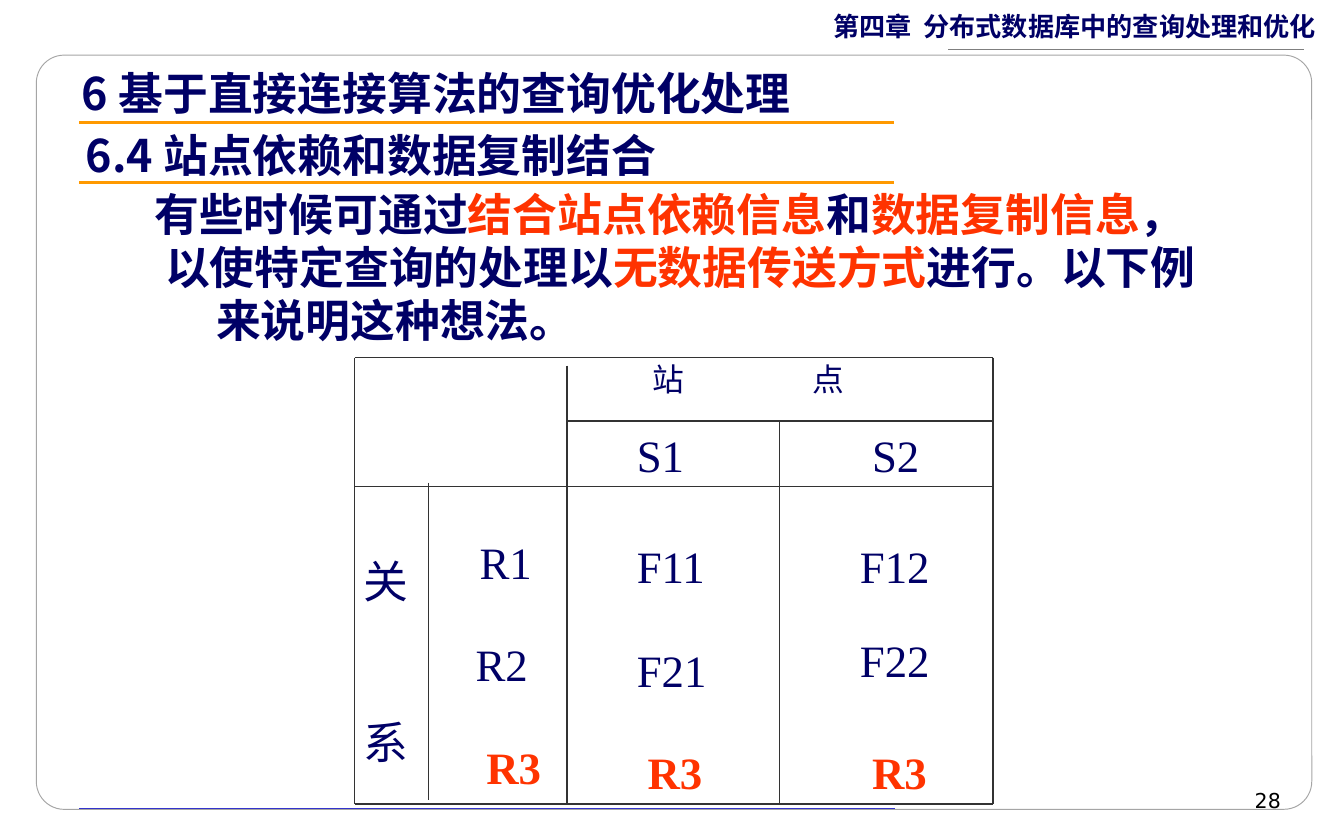
from dataclasses import dataclass

from lxml.etree import SubElement
from pptx import Presentation
from pptx.dml.color import RGBColor
from pptx.enum.shapes import MSO_CONNECTOR, MSO_SHAPE
from pptx.enum.text import MSO_ANCHOR, MSO_AUTO_SIZE, PP_ALIGN
from pptx.oxml.ns import qn
from pptx.util import Inches, Pt


@dataclass(frozen=True)
class Theme:
    navy: str = "000066"
    red: str = "FF3300"
    orange: str = "FF9900"
    blue: str = "3333CC"
    grid: str = "333333"
    gray: str = "7F7F7F"
    frame: str = "A5A5A5"
    white: str = "FFFFFF"
    black: str = "000000"
    sans: str = "Noto Sans CJK SC"
    serif: str = "Times New Roman"
    number_font: str = "DejaVu Sans"
    body_size: int = 24
    site_size: int = 17
    header_size: int = 14
    number_size: int = 11


theme = Theme()
presentation = Presentation()
presentation.slide_width = Inches(10)
presentation.slide_height = Inches(6.24)
slide = presentation.slides.add_slide(presentation.slide_layouts[5])


def add_line(x1, y1, x2, y2, color, width=0.75):
    line = slide.shapes.add_connector(
        MSO_CONNECTOR.STRAIGHT, Inches(x1), Inches(y1), Inches(x2), Inches(y2))
    line.line.color.rgb = RGBColor.from_string(color)
    line.line.width = Pt(width)
    SubElement(line._element.spPr, qn("a:effectLst"))


def write_text(box, paragraphs, font_name=theme.sans, size=theme.body_size,
               color=theme.navy, bold=False, wrap=True):
    """Fill a box with paragraphs, each a list of (text, color or None) runs."""
    frame = box.text_frame
    frame.word_wrap = wrap
    frame.auto_size = MSO_AUTO_SIZE.NONE
    frame.vertical_anchor = MSO_ANCHOR.TOP
    frame.margin_left = frame.margin_right = Inches(0.1)
    frame.margin_top = frame.margin_bottom = Inches(0.05)
    for index, runs in enumerate(paragraphs):
        paragraph = frame.add_paragraph() if index else frame.paragraphs[0]
        paragraph.alignment = PP_ALIGN.LEFT
        font = paragraph.font
        font.name, font.size, font.bold = font_name, Pt(size), bold
        font.color.rgb = RGBColor.from_string(color)
        SubElement(font._element, qn("a:ea"), typeface=theme.sans)
        for text, run_color in runs:
            run = paragraph.add_run()
            run.text = text
            if run_color:
                run.font.color.rgb = RGBColor.from_string(run_color)
    return frame.paragraphs


# Page frame, behind the title
page_frame = slide.shapes.add_shape(
    MSO_SHAPE.ROUNDED_RECTANGLE, Inches(0.27), Inches(0.41), Inches(9.49), Inches(5.61))
page_frame.adjustments[0] = 0.037
page_frame.shadow.inherit = False
page_frame.fill.solid()
page_frame.fill.fore_color.rgb = RGBColor.from_string(theme.white)
SubElement(page_frame._element.spPr.find(qn("a:solidFill"))[0], qn("a:alpha"), val="85000")
page_frame.line.color.rgb = RGBColor.from_string(theme.frame)
page_frame.line.width = Pt(0.5)
slide.shapes._spTree.insert(2, page_frame._element)
add_line(0.59, 6.01, 6.66, 6.01, theme.blue, 0.25)

# Chapter header and page number
header = slide.shapes.add_textbox(Inches(6.1), Inches(0.03), Inches(3.86), Inches(0.33))
write_text(header, [[("第四章  分布式数据库中的查询处理和优化", None)]],
           size=theme.header_size, bold=True)
add_line(9.7, 0.37, 7.05, 0.37, theme.gray)
page_number = slide.shapes.add_textbox(Inches(7.13), Inches(5.81), Inches(2.5), Inches(0.28))
number_paragraphs = write_text(page_number, [[("28", None)]], theme.number_font,
                               theme.number_size, theme.black)
number_paragraphs[0].alignment = PP_ALIGN.RIGHT

# Headings with orange rules
title = slide.shapes.title
title.left, title.top = Inches(0.51), Inches(0.44)
title.width, title.height = Inches(6.69), Inches(0.5)
write_text(title, [[("6 基于直接连接算法的查询优化处理", None)]], bold=True)
subtitle = slide.shapes.add_textbox(Inches(0.54), Inches(0.9), Inches(5), Inches(0.5))
write_text(subtitle, [[("6.4 站点依赖和数据复制结合", None)]], bold=True)
for y in (0.91, 1.36):
    add_line(0.59, y, 6.65, y, theme.orange, 1.5)

# Introduction, one indent per line
introduction = slide.shapes.add_textbox(Inches(0.75), Inches(1.34), Inches(8.35), Inches(1.3))
introduction_paragraphs = write_text(introduction, [
    [("有些时候可通过", None), ("结合站点依赖信息", theme.red), ("和", None),
     ("数据复制信息", theme.red), ("，", None)],
    [("以使特定查询的处理以", None), ("无数据传送方式", theme.red),
     ("进行。以下例", None)],
    [("来说明这种想法。", None)],
], bold=True)
for paragraph, indent in zip(introduction_paragraphs, (0.3, 0.38, 0.76)):
    paragraph.line_spacing = Pt(28.5)
    paragraph._p.get_or_add_pPr().set("marL", str(Inches(indent)))

# Fragment grid
left, right, top, bottom = 2.64, 7.39, 2.66, 5.98
for x, y1, y2 in ((left, top, bottom), (3.19, 3.59, 5.95), (4.22, 2.72, bottom),
                  (5.8, 3.13, bottom), (right, top, bottom)):
    add_line(x, y1, x, y2, theme.grid)
for y, x1 in ((top, left), (3.13, 4.22), (3.62, left), (bottom, left)):
    add_line(x1, y, right, y, theme.grid)

# Grid headings
sites = slide.shapes.add_textbox(Inches(4.76), Inches(2.63), Inches(2.36), Inches(0.38))
site_properties = sites.text_frame.paragraphs[0]._p.get_or_add_pPr()
tab_list = SubElement(site_properties, qn("a:tabLst"))
SubElement(tab_list, qn("a:tab"), pos=str(Inches(1.19)), algn="l")
write_text(sites, [[("站\t点", None)]], theme.serif, theme.site_size)
relations = slide.shapes.add_textbox(Inches(2.61), Inches(4.07), Inches(0.53), Inches(1.7))
relation_paragraphs = write_text(relations, [[("关", None)], [("系", None)]],
                                 theme.serif, wrap=False)
for paragraph in relation_paragraphs:
    paragraph.line_spacing = Pt(28.5)
relation_paragraphs[1].space_before = Pt(58)

# Grid labels
for text, x, y, color in (
    ("S1", 4.64, 3.13, theme.navy), ("S2", 6.39, 3.13, theme.navy),
    ("R1", 3.47, 3.93, theme.navy), ("F11", 4.64, 3.96, theme.navy),
    ("F12", 6.3, 3.96, theme.navy),
    ("R2", 3.44, 4.69, theme.navy), ("F21", 4.64, 4.73, theme.navy),
    ("F22", 6.3, 4.66, theme.navy),
    ("R3", 3.52, 5.45, theme.red), ("R3", 4.72, 5.49, theme.red),
    ("R3", 6.39, 5.49, theme.red),
):
    label = slide.shapes.add_textbox(Inches(x), Inches(y), Inches(0.8), Inches(0.5))
    write_text(label, [[(text, None)]], theme.serif, color=color, bold=color == theme.red)

presentation.save("out.pptx")
